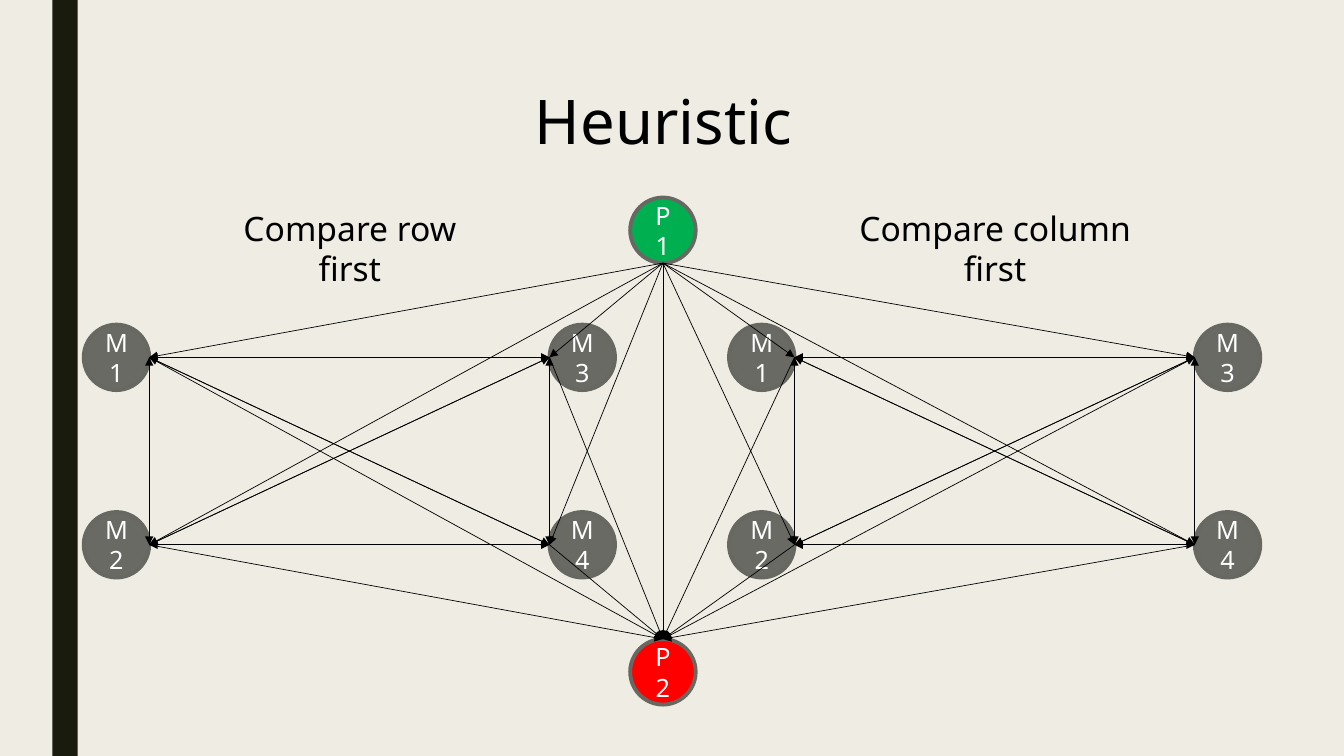
from itertools import permutations

from pptx import Presentation
from pptx import util as u
from pptx.dml.color import RGBColor
from pptx.enum import shapes, text
from pptx.oxml import parse_xml
from pptx.oxml.ns import nsdecls

BACK = RGBColor(0xEF, 0xED, 0xE3)
BAR = RGBColor(0x19, 0x1B, 0x0E)
BLACK = RGBColor(0, 0, 0)
WHITE = RGBColor(255, 255, 255)
GREEN = RGBColor(0, 0xB0, 0x50)
RED = RGBColor(255, 0, 0)
GRAY = RGBColor(0x69, 0x6A, 0x64)
RIM = RGBColor(0x68, 0x68, 0x63)
SIZE = 0.65


def write(frame, words, size=18, color=BLACK, anchor=text.MSO_ANCHOR.TOP, space=None):
    frame.word_wrap = True
    frame.vertical_anchor = anchor
    par = frame.paragraphs[0]
    par.alignment = text.PP_ALIGN.CENTER
    par.line_spacing = space
    run = par.add_run()
    run.text = words
    run.font.name = "Noto Sans"
    run.font.size = u.Pt(size)
    run.font.color.rgb = color


class Board:
    """Draws styled elements on one slide."""

    def __init__(self, slide):
        self.items = slide.shapes
        slide.background.fill.solid()
        slide.background.fill.fore_color.rgb = BACK

    def shape(self, kind, box, fill):
        item = self.items.add_shape(kind, *map(u.Inches, box))
        item.shadow.inherit = False
        item.fill.solid()
        item.fill.fore_color.rgb = fill
        item.line.fill.background()
        return item

    def node(self, name, left, top, fill=GRAY):
        item = self.shape(shapes.MSO_SHAPE.OVAL, (left, top, SIZE, SIZE), fill)
        item.line.color.rgb = RIM
        item.line.width = u.Pt(2.75)
        write(item.text_frame, name, color=WHITE, anchor=text.MSO_ANCHOR.MIDDLE)

    def label(self, words, box, **style):
        item = self.items.add_textbox(*map(u.Inches, box))
        write(item.text_frame, words, **style)

    def arrow(self, start, end):
        line = self.items.add_connector(
            shapes.MSO_CONNECTOR.STRAIGHT, *map(u.Inches, start + end))
        line.line.color.rgb = BLACK
        line.line.width = u.Pt(0.5)
        line.line._get_or_add_ln().append(
            parse_xml(f'<a:tailEnd {nsdecls("a")} type="triangle"/>'))
        line._element.spPr.append(parse_xml(f'<a:effectLst {nsdecls("a")}/>'))

    def graph(self, left, source, goal):
        ports = []
        for col, x in enumerate((left, left + 4.62)):
            for row, y in enumerate((3.22, 5.08)):
                self.node(f"M{2 * col + row + 1}", x, y)
                ports.append((x if col else x + SIZE, y + SIZE / 2))
        for port in ports:
            self.arrow(source, port)
            self.arrow(port, goal)
        for start, end in permutations(ports, 2):
            self.arrow(start, end)


deck = Presentation()
deck.slide_width = u.Inches(13.33)
deck.slide_height = u.Inches(7.5)
board = Board(deck.slides.add_slide(deck.slide_layouts[6]))

board.shape(shapes.MSO_SHAPE.RECTANGLE, (0.52, 0, 0.25, 7.5), BAR)
board.label("Heuristic", (0.83, 0.51, 11.5, 1.45), size=44,
            anchor=text.MSO_ANCHOR.MIDDLE, space=0.9)

mid, high, low = 6.25, 1.96, 6.34
source = (mid + SIZE / 2, high + SIZE)
goal = (mid + SIZE / 2, low)
board.node("P1", mid, high, GREEN)
board.node("P2", mid, low, RED)
board.arrow(source, goal)
for left in (0.83, 7.23):
    board.graph(left, source, goal)

board.label("Compare row first", (2.14, 2.01, 2.66, 0.5), size=24)
board.label("Compare column first", (8.3, 2.01, 3.14, 0.5), size=24)

deck.save("out.pptx")
